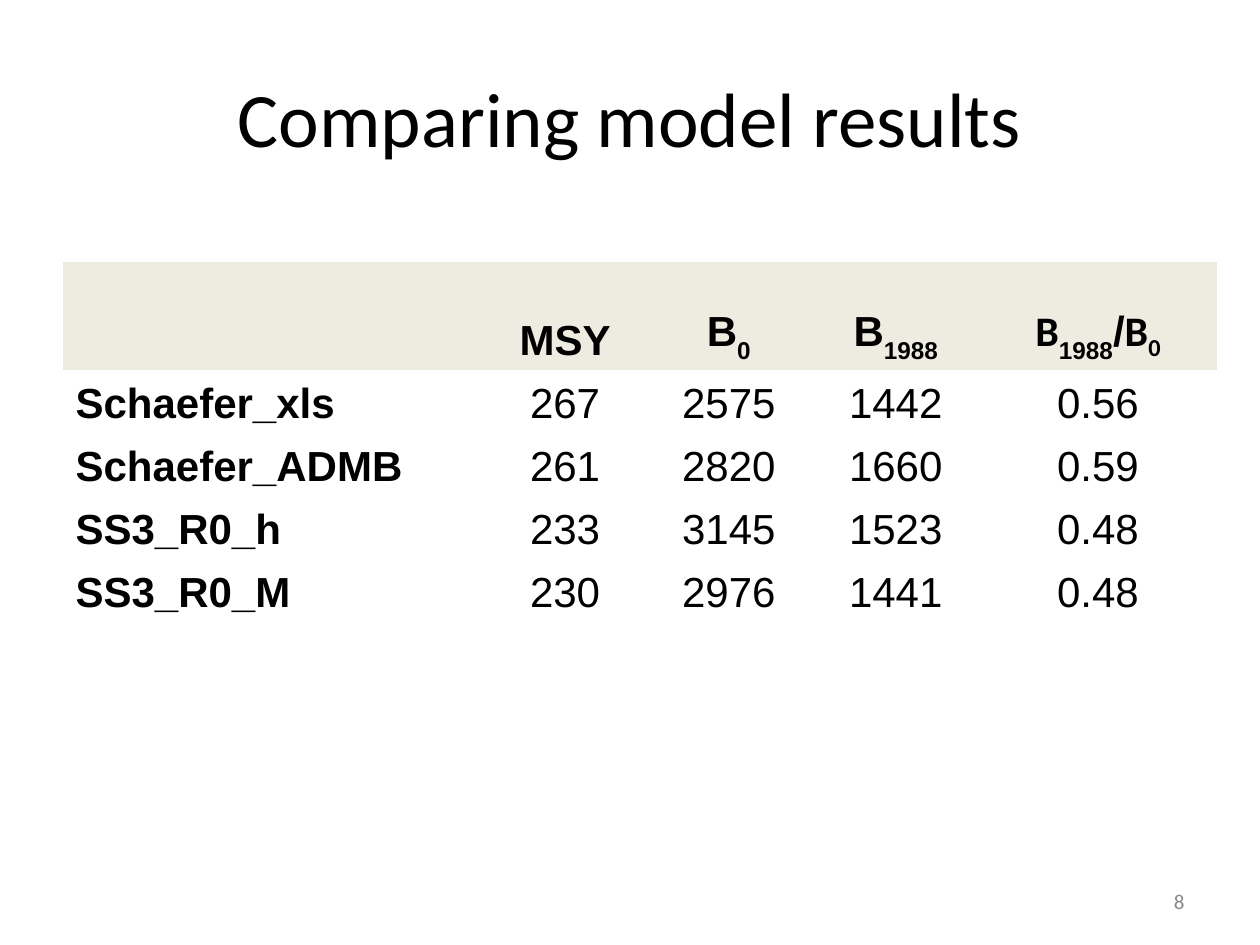
from dataclasses import dataclass

from pptx import Presentation
from pptx.dml.color import RGBColor
from pptx.enum.text import MSO_ANCHOR, PP_ALIGN
from pptx.oxml.ns import qn
from pptx.util import Inches, Pt


@dataclass(frozen=True)
class Theme:
    ink: RGBColor = RGBColor(0x00, 0x00, 0x00)
    muted: RGBColor = RGBColor(0x89, 0x89, 0x89)
    header_fill: RGBColor = RGBColor(0xEE, 0xEC, 0xE1)
    heading_font: str = "Calibri"
    table_font: str = "Arial"
    title_size: int = 44
    table_size: int = 24
    number_size: int = 12
    plain_table_style: str = "{2D5ABB26-0587-4C30-8999-92F81FD0307C}"


@dataclass(frozen=True)
class Span:
    text: str
    baseline: int = 0  # percent, negative for subscript
    font: str = ""


HEADER = [
    [],
    [Span("MSY")],
    [Span("B"), Span("0", -30)],
    [Span("B"), Span("1988", -30)],
    [Span("B", font="Calibri"), Span("1988", -30), Span("/"),
     Span("B", font="Calibri"), Span("0", -25, "Calibri")],
]
RESULTS = [
    ("Schaefer_xls", "267", "2575", "1442", "0.56"),
    ("Schaefer_ADMB", "261", "2820", "1660", "0.59"),
    ("SS3_R0_h", "233", "3145", "1523", "0.48"),
    ("SS3_R0_M", "230", "2976", "1441", "0.48"),
]
COLUMN_WIDTHS = [3.35, 1.27, 1.33, 1.32, 1.89]
HEADER_HEIGHT, ROW_HEIGHT = 0.86, 0.5


class SlideBuilder:
    def __init__(self, page, theme):
        self.page = page
        self.theme = theme

    def style(self, paragraph, font, size, color, align, bold=False):
        paragraph.alignment = align
        paragraph.font.name = font
        paragraph.font.size = Pt(size)
        paragraph.font.color.rgb = color
        paragraph.font.bold = bold

    def text(self, content, left, top, width, height, size, color, align):
        box = self.page.shapes.add_textbox(
            Inches(left), Inches(top), Inches(width), Inches(height))
        frame = box.text_frame
        frame.word_wrap = True
        frame.vertical_anchor = MSO_ANCHOR.MIDDLE
        frame.text = content
        self.style(frame.paragraphs[0], self.theme.heading_font, size, color, align)

    def cell(self, cell, spans, align, bold, fill=None):
        cell.vertical_anchor = MSO_ANCHOR.BOTTOM
        if fill is None:
            cell.fill.background()
        else:
            cell.fill.solid()
            cell.fill.fore_color.rgb = fill
        paragraph = cell.text_frame.paragraphs[0]
        self.style(paragraph, self.theme.table_font, self.theme.table_size,
                   self.theme.ink, align, bold)
        for span in spans:
            run = paragraph.add_run()
            run.text = span.text
            if span.font:
                run.font.name = span.font
            if span.baseline:
                run._r.get_or_add_rPr().set("baseline", str(span.baseline * 1000))

    def table(self, header, rows, left, top):
        height = HEADER_HEIGHT + ROW_HEIGHT * len(rows)
        table = self.page.shapes.add_table(
            len(rows) + 1, len(header), Inches(left), Inches(top),
            Inches(sum(COLUMN_WIDTHS)), Inches(height)).table
        table.horz_banding = False
        table._tbl.tblPr.find(qn("a:tableStyleId")).text = self.theme.plain_table_style
        for column, width in zip(table.columns, COLUMN_WIDTHS):
            column.width = Inches(width)
        for index, row in enumerate(table.rows):
            row.height = Inches(ROW_HEIGHT if index else HEADER_HEIGHT)
        for column, spans in enumerate(header):
            self.cell(table.cell(0, column), spans, PP_ALIGN.CENTER, True,
                      self.theme.header_fill)
        for index, values in enumerate(rows, start=1):
            for column, value in enumerate(values):
                is_name = column == 0
                align = PP_ALIGN.LEFT if is_name else PP_ALIGN.CENTER
                self.cell(table.cell(index, column), [Span(value)], align, is_name)


def main():
    deck = Presentation()
    deck.slide_width, deck.slide_height = Inches(10), Inches(7.5)
    theme = Theme()
    builder = SlideBuilder(deck.slides.add_slide(deck.slide_layouts[6]), theme)
    builder.text("Comparing model results", 0.5, 0.3, 9, 1.25,
                 theme.title_size, theme.ink, PP_ALIGN.CENTER)
    builder.text("8", 7.17, 6.95, 2.33, 0.4,
                 theme.number_size, theme.muted, PP_ALIGN.RIGHT)
    builder.table(HEADER, RESULTS, 0.5, 2.08)
    deck.save("out.pptx")


if __name__ == "__main__":
    main()
